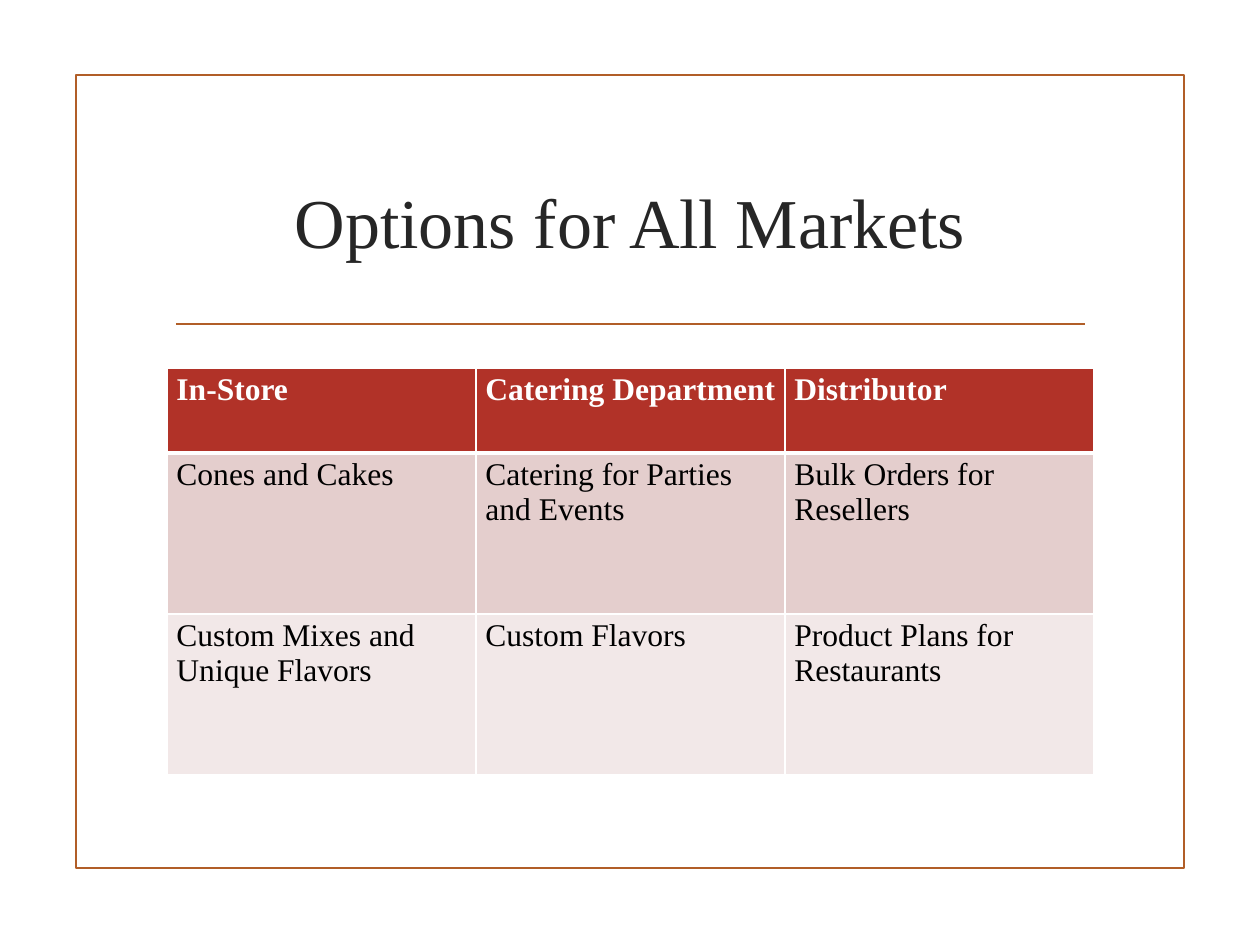
"""Builds the slide of options for all markets."""
from dataclasses import dataclass

from lxml import etree
from pptx import Presentation
from pptx.dml.color import RGBColor
from pptx.enum.shapes import MSO_CONNECTOR, MSO_SHAPE
from pptx.enum.text import MSO_ANCHOR, PP_ALIGN
from pptx.oxml.ns import qn
from pptx.util import Emu, Pt

RECT, LINE = MSO_SHAPE.RECTANGLE, MSO_CONNECTOR.STRAIGHT
MIDDLE, CENTER = MSO_ANCHOR.MIDDLE, PP_ALIGN.CENTER

TITLE = "Options for All Markets"
ROWS = [
    ("In-Store", "Catering Department", "Distributor"),
    ("Cones and Cakes", "Catering for Parties and Events", "Bulk Orders for Resellers"),
    ("Custom Mixes and Unique Flavors", "Custom Flavors", "Product Plans for Restaurants"),
]
SIZE = (1260, 945)
FRAME = (76, 75, 1108, 793)
RULE = (176, 324, 1085, 324)
HEAD = (162, 126, 936, 180)
LEFT, TOP = 167, 368
WIDE = 309
HIGH = (85, 161, 161)
EDGES = (1, 3, 1, 1)


@dataclass(frozen=True)
class Theme:
    """Holds colours and type sizes."""
    font: str = "Times New Roman"
    accent: str = "B15E28"
    title: str = "262626"
    white: str = "FFFFFF"
    black: str = "000000"
    fills: tuple = ("B13228", "E4CECD", "F2E8E8")
    big: float = 53.3
    small: float = 24
    line: float = 1.25


THEME = Theme()


def px(*vals):
    return [Emu(round(val * 914400 / 94.6)) for val in vals]


def style(item, **vals):
    for name, val in vals.items():
        setattr(item, name, val)


def write(box, text, size, color, bold=False):
    para = box.paragraphs[0]
    run = para.add_run()
    run.text = text
    style(run.font, name=THEME.font, size=Pt(size), bold=bold)
    run.font.color.rgb = RGBColor.from_string(color)
    return para


def stroke(shape):
    shape.line.color.rgb = RGBColor.from_string(THEME.accent)
    shape.line.width = Pt(THEME.line)


def border(cell, side, width):
    props = cell._tc.get_or_add_tcPr()
    edge = etree.SubElement(props, qn("a:ln" + side), w=str(Pt(width)))
    fill = etree.SubElement(edge, qn("a:solidFill"))
    etree.SubElement(fill, qn("a:srgbClr"), val=THEME.white)


def add_frame(shapes):
    frame = shapes.add_shape(RECT, *px(*FRAME))
    frame.shadow.inherit = False
    frame.fill.background()
    stroke(frame)
    rule = shapes.add_connector(LINE, *px(*RULE))
    etree.SubElement(rule._element.spPr, qn("a:effectLst"))
    stroke(rule)


def add_title(shapes):
    box = shapes.add_textbox(*px(*HEAD)).text_frame
    above, below = px(13, 5)
    style(box, word_wrap=True, vertical_anchor=MIDDLE,
          margin_top=above, margin_bottom=below)
    write(box, TITLE, THEME.big, THEME.title).alignment = CENTER


def add_grid(shapes):
    count = len(ROWS[0])
    place = px(LEFT, TOP, WIDE * count, sum(HIGH))
    grid = shapes.add_table(len(ROWS), count, *place).table
    for col in grid.columns:
        col.width = px(WIDE)[0]
    for r, (texts, high, tint) in enumerate(zip(ROWS, HIGH, THEME.fills)):
        grid.rows[r].height = px(high)[0]
        first = r == 0
        color = THEME.white if first else THEME.black
        for c, text in enumerate(texts):
            cell = grid.cell(r, c)
            for side, width in zip("LRTB", (1, 1, EDGES[r], EDGES[r + 1])):
                border(cell, side, width)
            cell.fill.solid()
            cell.fill.fore_color.rgb = RGBColor.from_string(tint)
            write(cell.text_frame, text, THEME.small, color, first)


def main():
    deck = Presentation()
    deck.slide_width, deck.slide_height = px(*SIZE)
    shapes = deck.slides.add_slide(deck.slide_layouts[6]).shapes
    add_frame(shapes)
    add_title(shapes)
    add_grid(shapes)
    deck.save("out.pptx")


if __name__ == "__main__":
    main()
